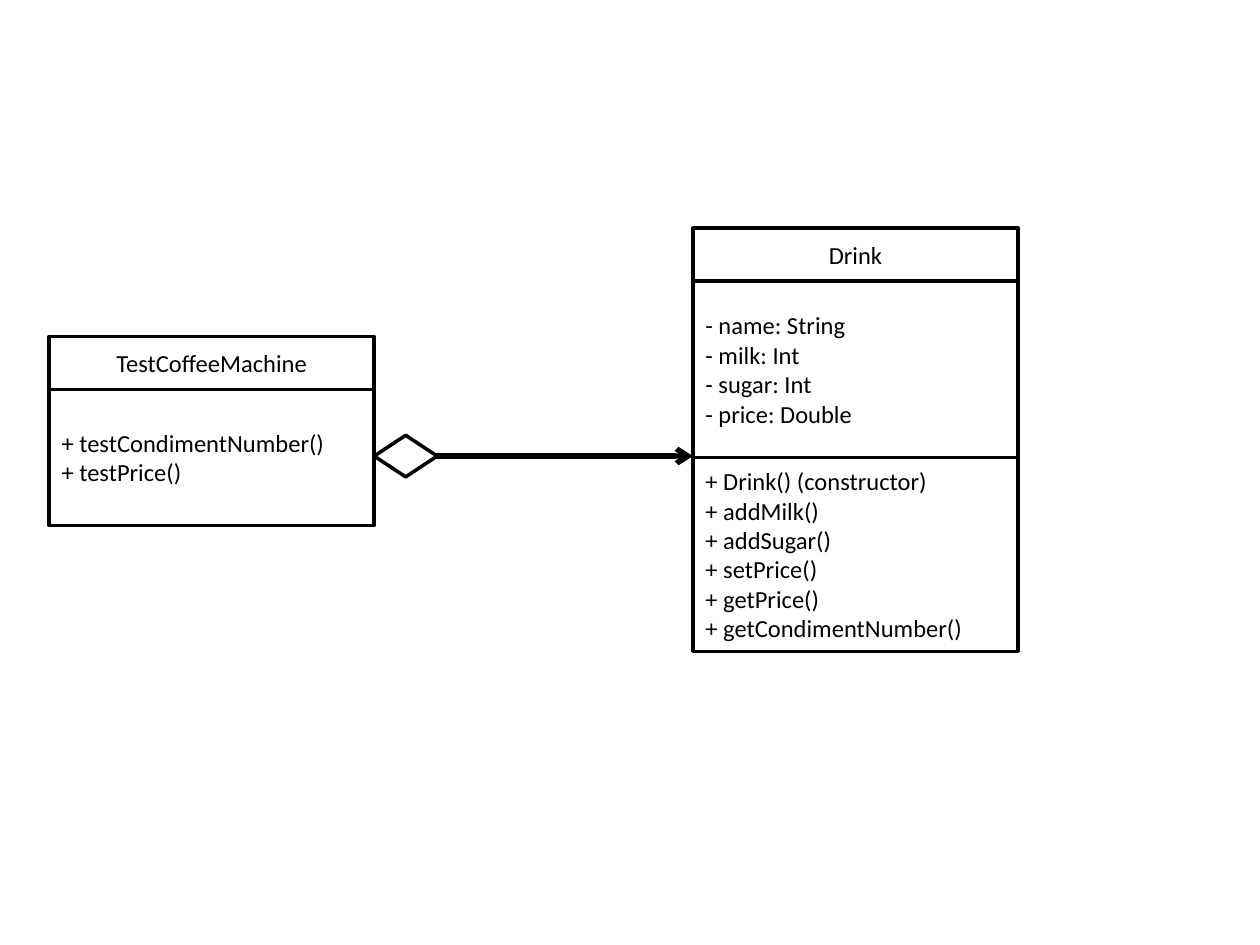
from lxml import etree
from pptx import Presentation
from pptx.dml.color import RGBColor
from pptx.enum import shapes, text
from pptx.oxml import ns
from pptx.util import Inches, Pt

# Content: each class has a position and a stack of (height, lines)
COLORS = {"ink": "000000", "paper": "FFFFFF"}
FONT = "Calibri"
BOX_W = 2.58
CLASSES = [
    {"left": 0.39, "top": 2.67, "parts": [
        (0.42, ["TestCoffeeMachine"]),
        (1.08, ["+ testCondimentNumber()", "+ testPrice()"]),
    ]},
    {"left": 5.5, "top": 1.81, "parts": [
        (0.42, ["Drink"]),
        (1.4, ["- name: String", "- milk: Int", "- sugar: Int", "- price: Double"]),
        (1.54, ["+ Drink() (constructor)", "+ addMilk()", "+ addSugar()",
                "+ setPrice()", "+ getPrice()", "+ getCondimentNumber()"]),
    ]},
]
LINK_Y = 3.62
DIAMOND_W, DIAMOND_H = 0.5, 0.33


def color(name):
    return RGBColor.from_string(COLORS[name])


def write(tf, lines, size=14, align=text.PP_ALIGN.LEFT, ink="ink"):
    tf.word_wrap = True
    tf.vertical_anchor = text.MSO_ANCHOR.MIDDLE
    for i, line in enumerate(lines):
        p = tf.paragraphs[0] if i == 0 else tf.add_paragraph()
        p.alignment = align
        r = p.add_run()
        r.text = line
        r.font.name = FONT
        r.font.size = Pt(size)
        r.font.color.rgb = color(ink)


def add_outlined(parent, kind, left, top, width, height):
    sp = parent.add_shape(kind, Inches(left), Inches(top), Inches(width), Inches(height))
    sp.shadow.inherit = False
    sp.fill.solid()
    sp.fill.fore_color.rgb = color("paper")
    sp.line.color.rgb = color("ink")
    sp.line.width = Pt(2)
    return sp


def add_class(s, left, top, parts):
    group = s.shapes.add_group_shape()
    for i, (height, lines) in enumerate(parts):
        sp = add_outlined(group.shapes, shapes.MSO_SHAPE.RECTANGLE, left, top, BOX_W, height)
        align = text.PP_ALIGN.CENTER if i == 0 else text.PP_ALIGN.LEFT
        write(sp.text_frame, lines, align=align)
        top += height


def add_arrow(s, x1, x2, y):
    line = s.shapes.add_connector(shapes.MSO_CONNECTOR.STRAIGHT,
                                  Inches(x1), Inches(y), Inches(x2), Inches(y))
    line.line.color.rgb = color("ink")
    line.line.width = Pt(3)
    etree.SubElement(line.line._get_or_add_ln(), ns.qn("a:tailEnd"), type="arrow")
    etree.SubElement(line._element.spPr, ns.qn("a:effectLst"))


prs = Presentation()
prs.slide_width, prs.slide_height = Inches(10), Inches(7.5)
s = prs.slides.add_slide(prs.slide_layouts[6])

# Class boxes
for box in CLASSES:
    add_class(s, **box)

# Aggregation from the test class to the drink class
owner, part = CLASSES
link_x = owner["left"] + BOX_W
add_arrow(s, link_x, part["left"], LINK_Y)
add_outlined(s.shapes, shapes.MSO_SHAPE.DIAMOND,
             link_x, LINK_Y - DIAMOND_H / 2, DIAMOND_W, DIAMOND_H)

prs.save("out.pptx")
